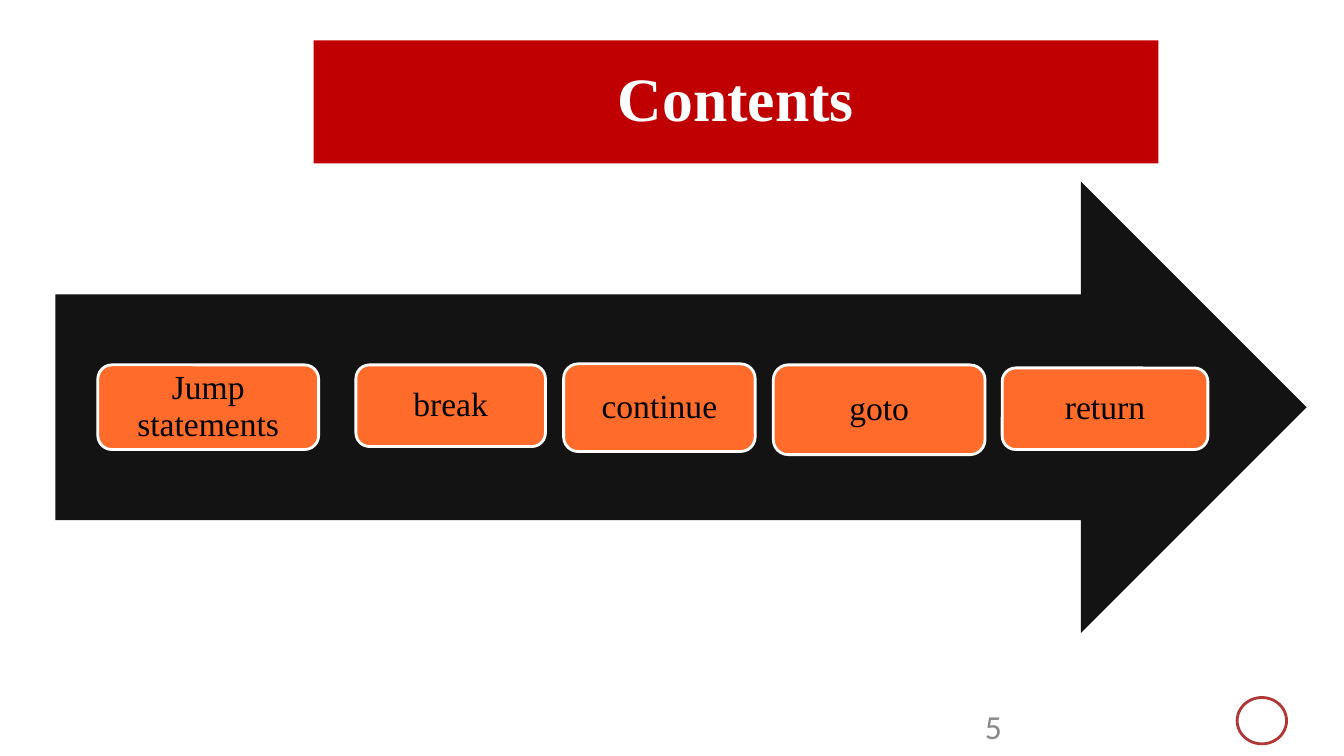
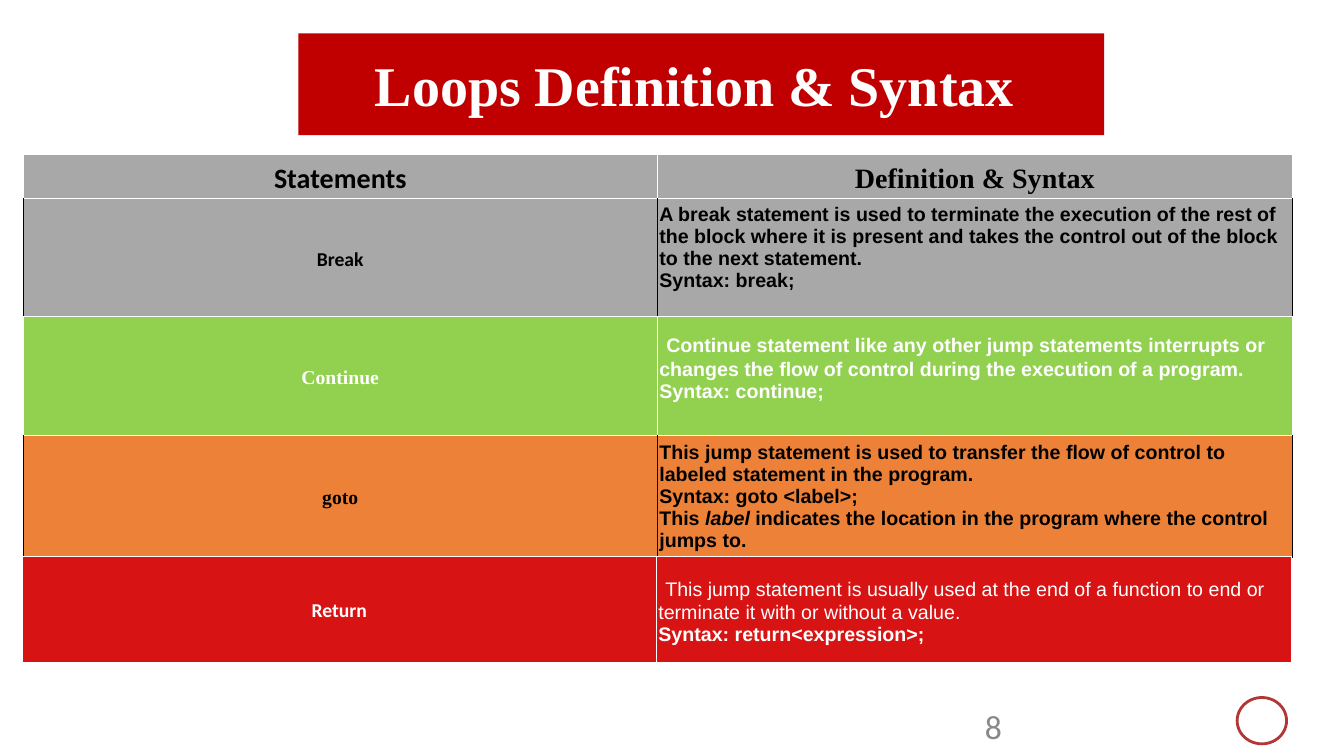
from dataclasses import dataclass
from lxml.etree import SubElement
from pptx import Presentation
from pptx.dml.color import RGBColor as RGB
from pptx.enum.shapes import MSO_SHAPE as SHAPE
from pptx.enum.text import MSO_ANCHOR as ANCHOR, MSO_AUTO_SIZE as FIT, PP_ALIGN as ALIGN
from pptx.oxml.ns import qn
from pptx.util import Emu, Pt

PX = 9144  # 100 px to the inch


@dataclass(frozen=True)
class Theme:
    # Colours
    white: str = "FFFFFF"
    black: str = "000000"
    band: str = "C00000"
    arrow: str = "131313"
    step: str = "FE6B2B"
    ring: str = "B13737"
    muted: str = "898989"
    gray: str = "A8A8A8"
    green: str = "92D050"
    orange: str = "ED8137"
    red: str = "D81313"
    # Fonts
    serif: str = "Times New Roman"
    sans: str = "Calibri"
    plain: str = "Arial"
    # Type sizes
    title: int = 44
    small: int = 40
    label: int = 24
    head: int = 20
    lead: int = 18
    cell: int = 14


T = Theme()


def px(*nums):
    return [Emu(n * PX) for n in nums]


def style(run, face, size, color, bold=False, italic=False):
    font = run.font
    font.name, font.size = face, Pt(size)
    font.bold, font.italic = bold, italic
    font.color.rgb = RGB.from_string(color)


def paint(item, color):
    item.fill.solid()
    item.fill.fore_color.rgb = RGB.from_string(color)


def edge(cell, side, color):
    props = cell._tc.get_or_add_tcPr()
    line = SubElement(props, qn(f"a:ln{side}"), w=str(Pt(1)))
    fill = SubElement(line, qn("a:solidFill"))
    SubElement(fill, qn("a:srgbClr"), val=color)


class Deck:
    def __init__(self):
        self.file = Presentation()
        self.file.slide_width, self.file.slide_height = px(1333, 750)
        self.slide = None

    def page(self, title, box, size, number, space=1.0):
        """Start a slide with its title band and footer."""
        self.slide = self.file.slides.add_slide(self.file.slide_layouts[5])
        band = self.slide.shapes.title
        band.left, band.top, band.width, band.height = px(*box)
        paint(band, T.band)
        band.text_frame.auto_size = FIT.NONE
        self.label(band.text_frame, title, size, T.white, True, space)
        self.number(number)
        self.shape(SHAPE.OVAL, (1227, 692, 49, 46), line=T.ring)

    def label(self, frame, text, size, color, bold=False, space=0.9):
        frame.text = text
        frame.word_wrap = True
        frame.vertical_anchor = ANCHOR.MIDDLE
        para = frame.paragraphs[0]
        para.alignment, para.line_spacing = ALIGN.CENTER, space
        style(para.runs[0], T.serif, size, color, bold)

    def number(self, text):
        box = self.slide.shapes.add_textbox(*px(967, 695, 300, 40))
        box.text_frame.word_wrap = True
        box.text_frame.text = text
        style(box.text_frame.paragraphs[0].runs[0], T.sans, T.label, T.muted)

    def shape(self, kind, box, fill=None, line=None):
        item = self.slide.shapes.add_shape(kind, *px(*box))
        item.shadow.inherit = False
        if fill:
            paint(item, fill)
        else:
            item.fill.background()
        if line:
            item.line.color.rgb = RGB.from_string(line)
            item.line.width = Pt(2)
        else:
            item.line.fill.background()
        return item

    def step(self, text, box):
        item = self.shape(SHAPE.ROUNDED_RECTANGLE, box, T.step, T.white)
        frame = item.text_frame
        frame.margin_left = frame.margin_right = px(14)[0]
        frame.margin_top = frame.margin_bottom = px(4)[0]
        self.label(frame, text, T.label, T.black)

    def table(self, left, top, rows):
        high = [row["high"] for row in rows]
        frame = self.slide.shapes.add_table(len(rows), 2, *px(left, top, 1259, sum(high)))
        grid = frame.table
        grid.first_row = grid.horz_banding = False
        grid.columns[0].width, grid.columns[1].width = px(629, 630)
        for r, row in enumerate(rows):
            grid.rows[r].height = px(high[r])[0]
            for c in range(2):
                cell = grid.cell(r, c)
                self.frame(cell, row)
                if c == 0:
                    self.name(cell, row["name"], row["face"], row)
                elif "title" in row:
                    self.name(cell, row["title"], T.serif, row)
                else:
                    self.body(cell, row)

    def frame(self, cell, row):
        for side in "LRTB":
            edge(cell, side, row.get("side", T.white) if side in "LR" else T.white)
        paint(cell, row["fill"])
        cell.vertical_anchor = ANCHOR.MIDDLE
        cell.margin_left = cell.margin_right = px(2)[0]
        cell.margin_top = cell.margin_bottom = px(2)[0]

    def name(self, cell, text, face, row):
        cell.text = text
        para = cell.text_frame.paragraphs[0]
        para.alignment, para.line_spacing = ALIGN.CENTER, 1.15
        style(para.runs[0], face, row.get("size", T.cell), row["ink"], True)

    def body(self, cell, row):
        """Fill a cell with paragraphs made of (text, look) runs."""
        cell.margin_bottom = px(2 + row.get("lift", 0))[0]
        frame = cell.text_frame
        for n, parts in enumerate(row["body"]):
            para = frame.add_paragraph() if n else frame.paragraphs[0]
            for text, look in parts:
                run = para.add_run()
                run.text = text
                base = dict(face=T.plain, size=T.cell, color=row["ink"], bold=True)
                style(run, **{**base, **look})


# Content
STEPS = [
    ("Jump statements", (97, 362, 219, 84)),
    ("break", (353, 362, 188, 81)),
    ("continue", (559, 361, 190, 87)),
    ("goto", (767, 362, 210, 89)),
    ("return", (994, 365, 204, 81)),
]

LEAD = (" ", dict(size=T.lead))

JUMPS = [
    dict(name="Statements", face=T.sans, title="Definition & Syntax", high=44,
         fill=T.gray, ink=T.black, size=T.head),
    dict(name="Break", face=T.sans, high=117, fill=T.gray, ink=T.black,
         side=T.black, lift=20, body=[
             [("A break statement is used to terminate the execution of the rest of "
               "the block where it is present and takes the control out of the block "
               "to the next statement.", {})],
             [("Syntax: break;", {})]]),
    dict(name="Continue", face=T.serif, high=118, fill=T.green, ink=T.white,
         lift=20, body=[
             [LEAD, ("Continue statement like any other jump statements interrupts or "
                     "changes the flow of control during the execution of a program.", {})],
             [("Syntax: continue;", {})]]),
    dict(name="goto", face=T.serif, high=121, fill=T.orange, ink=T.black,
         side=T.black, body=[
             [("This jump statement is used to transfer the flow of control to "
               "labeled statement in the program.", {})],
             [("Syntax: goto <label>;", {})],
             [("This ", {}), ("label", dict(italic=True)),
              (" indicates the location in the program where the control jumps to.", {})]]),
]

RETURN = [
    dict(name="Return", face=T.sans, high=105, fill=T.red, ink=T.white, body=[
        [LEAD, ("This jump statement is usually used at the end of a function to end or "
                "terminate it with or without a value.", dict(bold=False))],
        [("Syntax: return<expression>;", {})]]),
]


def main():
    deck = Deck()

    # Contents
    deck.page("Contents", (311, 40, 838, 122), T.title, "5", 0.9)
    deck.shape(SHAPE.RIGHT_ARROW, (55, 180, 1241, 448), T.arrow)
    for text, box in STEPS:
        deck.step(text, box)

    # Definitions
    deck.page("Loops Definition & Syntax ", (296, 33, 799, 101), T.small, "8")
    deck.table(23, 153, JUMPS)
    deck.table(22, 552, RETURN)

    deck.file.save("out.pptx")


if __name__ == "__main__":
    main()
